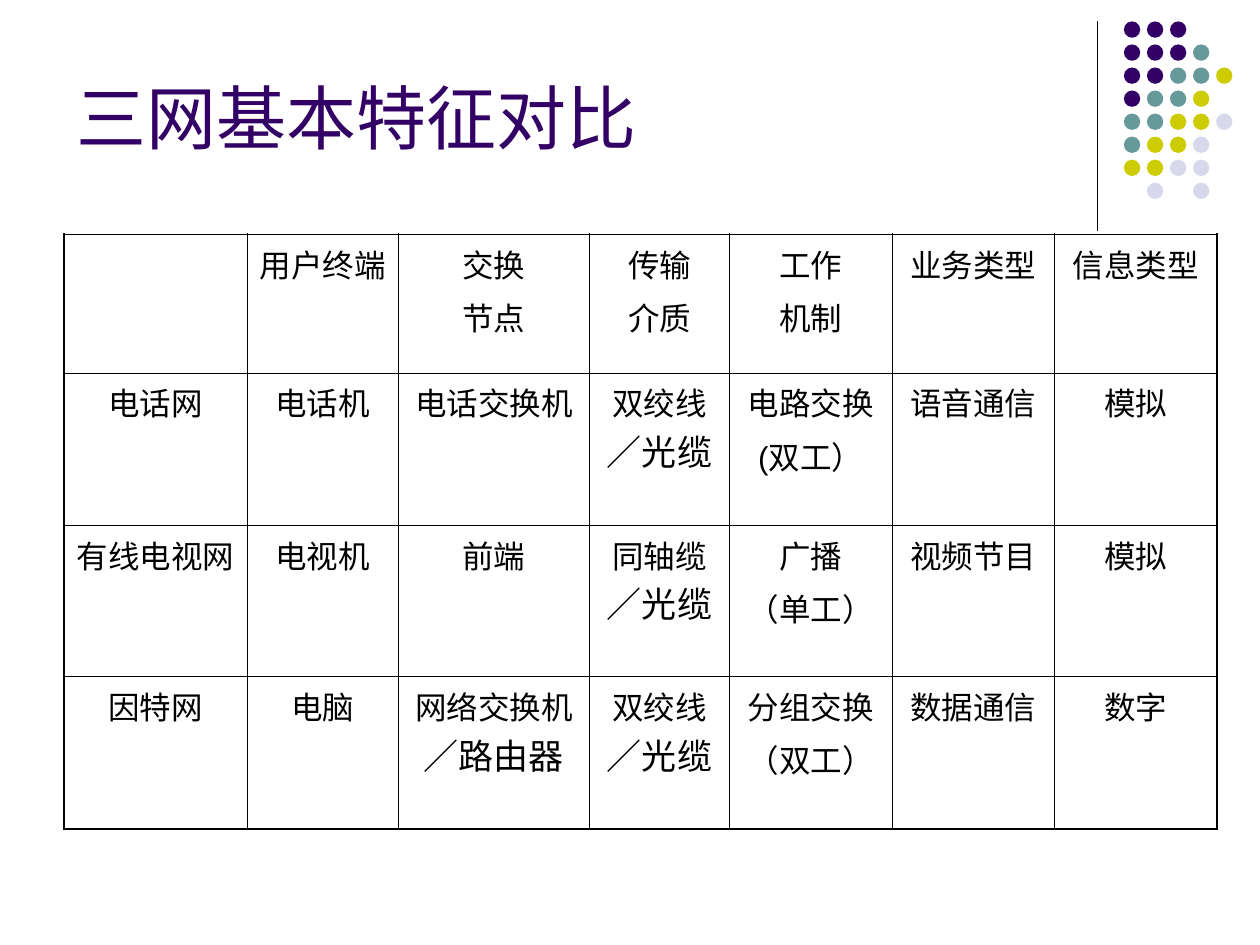
from dataclasses import dataclass

from lxml.etree import SubElement
from pptx import Presentation
from pptx.dml.color import RGBColor
from pptx.enum.shapes import MSO_CONNECTOR, MSO_SHAPE
from pptx.enum.text import MSO_ANCHOR, PP_ALIGN
from pptx.oxml.ns import qn
from pptx.util import Inches, Pt


@dataclass(frozen=True)
class Theme:
    ink: str = "000000"
    plum: str = "330066"
    teal: str = "669999"
    lime: str = "CCCC00"
    mist: str = "D8D8EC"
    head: int = 40
    body: int = 18
    large: int = 20
    thin: float = 0.45
    thick: float = 1.08


WIDTHS = [1.45, 1.2, 1.52, 1.11, 1.29, 1.29, 1.29]
HEIGHTS = [1.1, 1.21, 1.2, 1.21]

# "\n" starts a paragraph; "|" starts the larger part of a paragraph
ROWS = [
    ["", "用户终端", "交换\n节点", "传输\n介质", "工作\n机制", "业务类型", "信息类型"],
    ["电话网", "电话机", "电话交换机", "双绞线|／光缆", "电路交换\n(双工）", "语音通信", "模拟"],
    ["有线电视网", "电视机", "前端", "同轴缆|／光缆", "广播\n（单工）", "视频节目", "模拟"],
    ["因特网", "电脑", "网络交换机|／路由器", "双绞线|／光缆", "分组交换\n（双工）", "数据通信", "数字"],
]

# One letter per dot: plum, teal, lime, mist
DOTS = ["PPP", "PPPT", "PPTTL", "PTTL", "TTLLM", "TLLM", "LLMM", " M M"]


class Deck:
    def __init__(self, theme):
        self.theme = theme
        self.file = Presentation()
        self.file.slide_width = Inches(10)
        self.file.slide_height = Inches(7.5)
        self.slide = self.file.slides.add_slide(self.file.slide_layouts[6])
        self.shapes = self.slide.shapes

    def style(self, font, size, color, name):
        font.size = Pt(size)
        font.name = name
        font.color.rgb = RGBColor.from_string(color)

    def line(self, x1, y1, x2, y2, width):
        line = self.shapes.add_connector(
            MSO_CONNECTOR.STRAIGHT, Inches(x1), Inches(y1), Inches(x2), Inches(y2))
        line.line.color.rgb = RGBColor.from_string(self.theme.ink)
        line.line.width = Pt(width)
        SubElement(line._element.spPr, qn("a:effectLst"))

    def dots(self, left, top, size, step):
        look = self.theme
        tints = {"P": look.plum, "T": look.teal, "L": look.lime, "M": look.mist}
        for row, marks in enumerate(DOTS):
            for col, mark in enumerate(marks):
                if mark == " ":
                    continue
                dot = self.shapes.add_shape(
                    MSO_SHAPE.OVAL, Inches(left + col * step),
                    Inches(top + row * step), Inches(size), Inches(size))
                dot.shadow.inherit = False
                dot.fill.solid()
                dot.fill.fore_color.rgb = RGBColor.from_string(tints[mark])
                dot.line.fill.background()

    def title(self, text, left, top, width, height):
        box = self.shapes.add_textbox(
            Inches(left), Inches(top), Inches(width), Inches(height))
        frame = box.text_frame
        frame.word_wrap = True
        frame.vertical_anchor = MSO_ANCHOR.BOTTOM
        para = frame.paragraphs[0]
        para.text = text
        self.style(para.font, self.theme.head, self.theme.plum, "Times New Roman")

    def table(self, left, top):
        grid = self.shapes.add_table(
            len(ROWS), len(WIDTHS), Inches(left), Inches(top),
            Inches(sum(WIDTHS)), Inches(sum(HEIGHTS))).table
        grid.first_row = grid.horz_banding = False
        for col, width in zip(grid.columns, WIDTHS):
            col.width = Inches(width)
        for row, height in zip(grid.rows, HEIGHTS):
            row.height = Inches(height)
        for r, texts in enumerate(ROWS):
            for c, text in enumerate(texts):
                cell = grid.cell(r, c)
                self.label(cell.text_frame, text)
                self.edge(cell, L=c == 0, R=c == len(WIDTHS) - 1,
                          T=r == 0, B=r == len(ROWS) - 1)
                cell.fill.background()

    def label(self, frame, text):
        look = self.theme
        for n, part in enumerate(text.split("\n")):
            para = frame.add_paragraph() if n else frame.paragraphs[0]
            para.alignment = PP_ALIGN.CENTER
            if n:
                para.space_before = Pt(4.5)
            self.style(para.font, look.body, look.ink, "Arial")
            small, _, large = part.partition("|")
            if small:
                para.add_run().text = small
            if large:
                run = para.add_run()
                run.text = large
                run.font.size = Pt(look.large)

    def edge(self, cell, **outer):
        """Draw cell borders, thick on the sides flagged as outer."""
        props = cell._tc.get_or_add_tcPr()
        for side, bold in outer.items():
            width = self.theme.thick if bold else self.theme.thin
            line = SubElement(props, qn("a:ln" + side), w=str(Pt(width)))
            fill = SubElement(line, qn("a:solidFill"))
            SubElement(fill, qn("a:srgbClr"), val=self.theme.ink)


def main():
    deck = Deck(Theme())
    deck.line(8.71, 0.17, 8.71, 1.83, 0.75)
    deck.dots(8.92, 0.17, 0.13, 1.28 / 7)
    deck.title("三网基本特征对比", 0.51, 0.44, 8.25, 0.87)
    deck.table(0.51, 1.86)
    deck.file.save("out.pptx")


if __name__ == "__main__":
    main()
